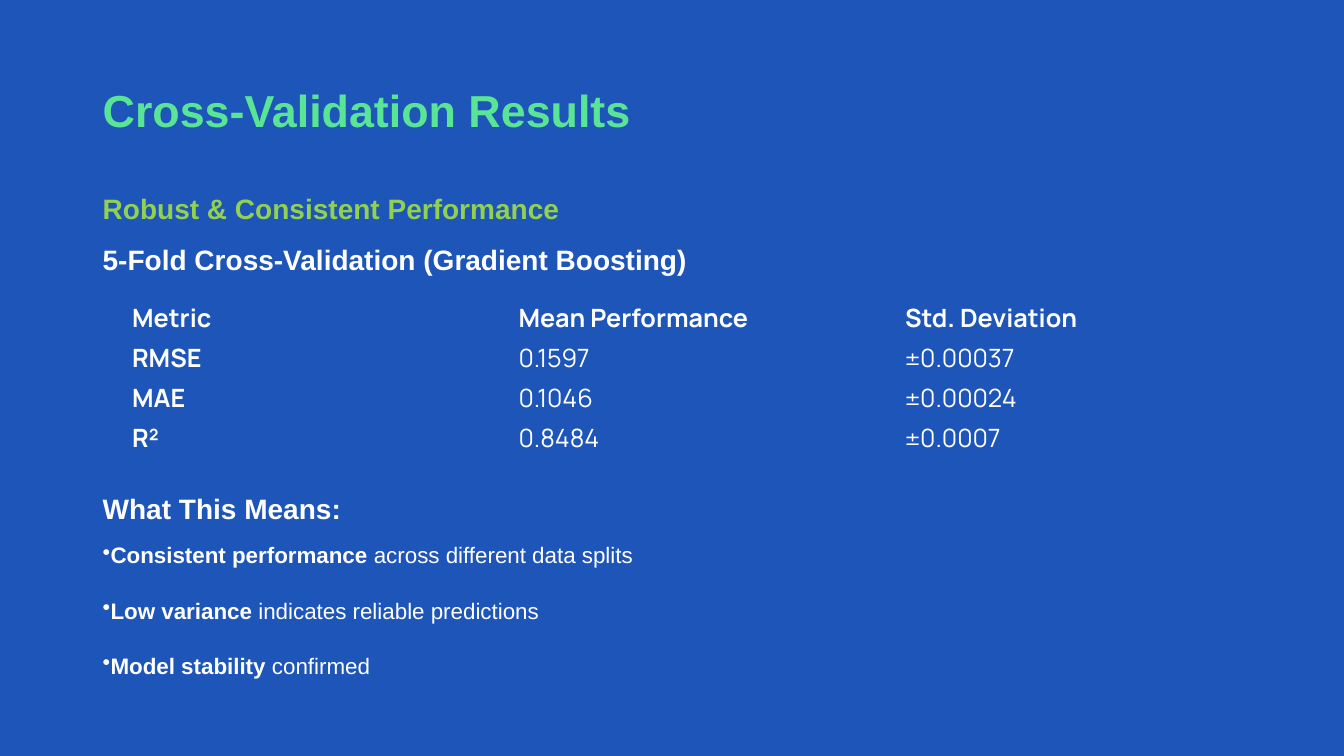
from lxml import etree
from pptx import Presentation
from pptx.dml.color import RGBColor
from pptx.enum.text import MSO_ANCHOR
from pptx.oxml.ns import qn
from pptx.util import Inches, Pt

TOP, MIDDLE = MSO_ANCHOR.TOP, MSO_ANCHOR.MIDDLE
SLIDE_W, SLIDE_H = Inches(13.33), Inches(7.5)
BLUE, MINT, LIME, WHITE = "1E55B8", "5AE495", "92D050", "FFFFFF"
HEADING_FONT, TABLE_FONT = "Arial", "Manrope"
PLAIN_TABLE_STYLE = "{2D5ABB26-0587-4C30-8999-92F81FD0307C}"

METRICS = [
    ("Metric", "Mean Performance", "Std. Deviation"),
    ("RMSE", "0.1597", "±0.00037"),
    ("MAE", "0.1046", "±0.00024"),
    ("R²", "0.8484", "±0.0007"),
]
# text, size, colour, space before in points
HEADINGS = [
    ("Cross-Validation Results", 32, MINT, 0),
    ("Robust & Consistent Performance", 20, LIME, 39.3),
    ("5-Fold Cross-Validation (Gradient Boosting)", 20, WHITE, 12.7),
    ("What This Means:", 20, WHITE, 153.4),
]
FINDINGS = [
    ("Consistent performance", " across different data splits", 12),
    ("Low variance", " indicates reliable predictions", 20.3),
    ("Model stability", " confirmed", 20.3),
]


def color(hex_string):
    return RGBColor.from_string(hex_string)


def area(left, top, width, height):
    """Turn percentages of the slide into lengths."""
    sides = (SLIDE_W, SLIDE_H, SLIDE_W, SLIDE_H)
    return [round(side * share / 100)
            for side, share in zip(sides, (left, top, width, height))]


def style_run(run, font, size, hex_string, bold):
    run.font.name = font
    run.font.size = Pt(size)
    run.font.bold = bold
    run.font.color.rgb = color(hex_string)


def add_bullet(paragraph):
    properties = paragraph._p.get_or_add_pPr()
    properties.set("marL", "0")
    properties.set("indent", "0")
    etree.SubElement(properties, qn("a:buChar")).set("char", "•")


def add_metrics_table(slide, metrics):
    frame = slide.shapes.add_table(len(metrics), len(metrics[0]),
                                   *area(9.08, 39.33, 86.27, 21.33))
    table = frame.table
    table.first_row = table.horz_banding = False
    next(frame._element.iter(qn("a:tableStyleId"))).text = PLAIN_TABLE_STYLE
    for row, values in enumerate(metrics):
        for column, value in enumerate(values):
            cell = table.cell(row, column)
            cell.fill.background()
            cell.vertical_anchor = MIDDLE
            cell.margin_top = cell.margin_bottom = Inches(0.02)
            cell.text_frame.text = value
            style_run(cell.text_frame.paragraphs[0].runs[0], TABLE_FONT, 18,
                      WHITE, bold=row == 0 or column == 0)


def add_story(slide, headings, findings):
    """Headings and bulleted findings in one box, spaced around the table."""
    story = slide.shapes.add_textbox(*area(6.9, 8.13, 45.31, 85.73)).text_frame
    story.word_wrap = True
    story.vertical_anchor = TOP
    story.margin_top = Inches(0.21)
    story.margin_right = 0
    for index, (text, size, hex_string, gap) in enumerate(headings):
        heading = story.add_paragraph() if index else story.paragraphs[0]
        heading.text = text
        heading.space_before = Pt(gap)
        style_run(heading.runs[0], HEADING_FONT, size, hex_string, bold=True)
    for claim, detail, gap in findings:
        finding = story.add_paragraph()
        finding.space_before = Pt(gap)
        add_bullet(finding)
        for text, bold in ((claim, True), (detail, False)):
            run = finding.add_run()
            run.text = text
            style_run(run, HEADING_FONT, 16, WHITE, bold)


def main():
    deck = Presentation()
    deck.slide_width, deck.slide_height = SLIDE_W, SLIDE_H
    slide = deck.slides.add_slide(deck.slide_layouts[6])
    slide.background.fill.solid()
    slide.background.fill.fore_color.rgb = color(BLUE)
    add_metrics_table(slide, METRICS)
    add_story(slide, HEADINGS, FINDINGS)
    deck.save("out.pptx")


if __name__ == "__main__":
    main()
